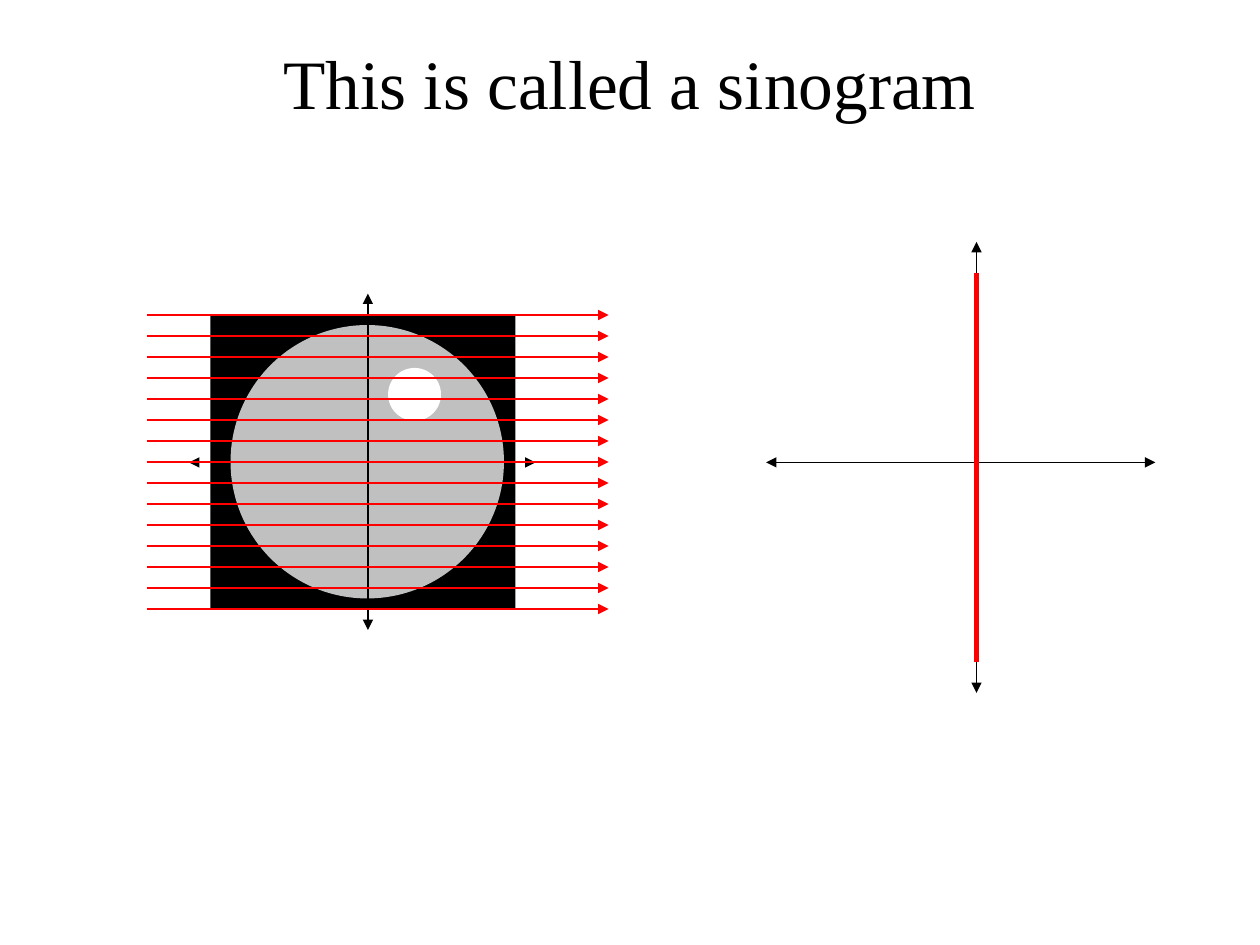
from dataclasses import dataclass

from lxml.etree import SubElement
from pptx import Presentation
from pptx.dml.color import RGBColor as Rgb
from pptx.enum.shapes import MSO_CONNECTOR as Connector, MSO_SHAPE as Preset
from pptx.enum.text import MSO_ANCHOR as Anchor, PP_ALIGN as Align
from pptx.oxml.ns import qn
from pptx.util import Inches, Pt


@dataclass(frozen=True)
class Theme:
    font: str = "Times New Roman"
    title_size: float = 39.6
    thin: float = 0.75
    thick: float = 3
    black: Rgb = Rgb(0x00, 0x00, 0x00)
    gray: Rgb = Rgb(0xC0, 0xC0, 0xC0)
    white: Rgb = Rgb(0xFF, 0xFF, 0xFF)
    red: Rgb = Rgb(0xFF, 0x00, 0x00)


class SlideBuilder:
    def __init__(self, slide, theme):
        self.slide = slide
        self.theme = theme

    def group(self):
        return self.slide.shapes.add_group_shape().shapes

    def title(self, text, left, top, width, height):
        title = self.slide.shapes.title
        title.left, title.top = Inches(left), Inches(top)
        title.width, title.height = Inches(width), Inches(height)
        frame = title.text_frame
        frame.text = text
        frame.word_wrap = True
        frame.vertical_anchor = Anchor.TOP
        frame.margin_top = Inches(0.02)
        paragraph = frame.paragraphs[0]
        paragraph.alignment = Align.CENTER
        paragraph.font.name = self.theme.font
        paragraph.font.size = Pt(self.theme.title_size)
        paragraph.font.color.rgb = self.theme.black

    def solid(self, parent, preset, left, top, width, height, color):
        shape = parent.add_shape(
            preset, Inches(left), Inches(top), Inches(width), Inches(height))
        shape.shadow.inherit = False
        shape.fill.solid()
        shape.fill.fore_color.rgb = color
        shape.line.fill.background()

    def line(self, parent, start, end, color, weight, arrows=()):
        connector = parent.add_connector(
            Connector.STRAIGHT, *map(Inches, (*start, *end)))
        connector.line.color.rgb = color
        connector.line.width = Pt(weight)
        outline = connector.line._get_or_add_ln()
        for arrow in arrows:
            SubElement(outline, qn(f"a:{arrow}"), type="triangle")
        SubElement(connector._element.spPr, qn("a:effectLst"))

    def axis(self, parent, start, end):
        self.line(parent, start, end, self.theme.black, self.theme.thin,
                  ("headEnd", "tailEnd"))

    def ray(self, parent, left, right, y):
        self.line(parent, (left, y), (right, y), self.theme.red,
                  self.theme.thin, ("tailEnd",))


def main():
    theme = Theme()
    deck = Presentation()
    deck.slide_width, deck.slide_height = Inches(10), Inches(7.5)
    builder = SlideBuilder(deck.slides.add_slide(deck.slide_layouts[5]), theme)
    builder.title("This is called a sinogram", 0.5, 0.3, 9, 1.25)

    phantom = builder.group()
    builder.solid(phantom, Preset.RECTANGLE, 1.67, 2.5, 2.42, 2.33, theme.black)
    builder.solid(phantom, Preset.OVAL, 1.83, 2.58, 2.17, 2.17, theme.gray)
    builder.solid(phantom, Preset.OVAL, 3.08, 2.92, 0.42, 0.42, theme.white)

    middle = 3.67
    phantom_axes = builder.group()
    builder.axis(phantom_axes, (2.92, 2.33), (2.92, 5))
    builder.axis(phantom_axes, (1.5, middle), (4.25, middle))

    rays = builder.group()
    for index in range(15):
        builder.ray(rays, 1.17, 4.83, 2.5 + index / 6)

    sinogram = builder.slide.shapes
    center = 7.75
    builder.axis(sinogram, (6.08, middle), (9.17, middle))
    builder.axis(sinogram, (center, 1.92), (center, 5.5))
    builder.line(sinogram, (center, 2.17), (center, 5.25), theme.red, theme.thick)

    deck.save("out.pptx")


if __name__ == "__main__":
    main()
